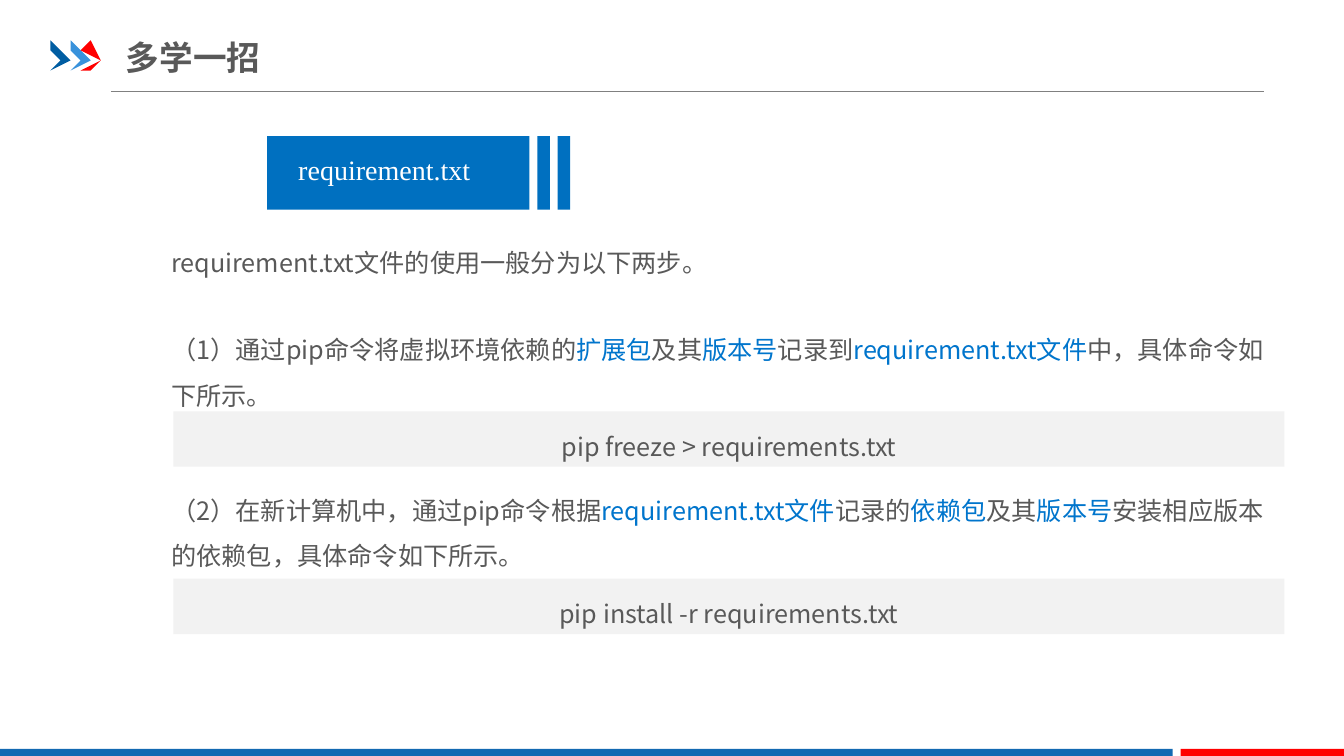
import lxml.etree
import pptx
import pptx.dml.color
import pptx.enum.shapes
import pptx.enum.text
import pptx.oxml.ns
import pptx.util

RGBColor = pptx.dml.color.RGBColor
PP_ALIGN = pptx.enum.text.PP_ALIGN
MSO_ANCHOR = pptx.enum.text.MSO_ANCHOR
MSO_AUTO_SIZE = pptx.enum.text.MSO_AUTO_SIZE
qn = pptx.oxml.ns.qn

NAVY = RGBColor(0x00, 0x5D, 0xA2)
SKY = RGBColor(0x39, 0x92, 0xDB)
RED = RGBColor(0xFF, 0x00, 0x00)
FOOTER_BLUE = RGBColor(0x13, 0x69, 0xB2)
TAG_BLUE = RGBColor(0x00, 0x70, 0xC0)
KEY_BLUE = RGBColor(0x00, 0x75, 0xCC)
INK = RGBColor(0x59, 0x59, 0x59)
RULE_GREY = RGBColor(0x80, 0x80, 0x80)
CODE_GREY = RGBColor(0xF2, 0xF2, 0xF2)
WHITE = RGBColor(0xFF, 0xFF, 0xFF)

SANS = "Noto Sans CJK SC"
SERIF = "Times New Roman"
COLS, ROWS = 133.3, 75
TEXT_LEFT, TEXT_WIDTH = 16, 111.4
CODE_LEFT, CODE_WIDTH, CODE_HEIGHT = 17.2, 110.2, 5.5
TAG_TOP, TAG_HEIGHT = 13.5, 7.3
CHEVRON = [(0, 0.4), (0.5, 0), (2, 1.5), (0.5, 3), (0, 2.5), (1.1, 1.5)]


def cells(*counts):
    """Turn counts of grid cells into lengths."""
    return [pptx.util.Inches(count / 10) for count in counts]


def write(tf, *parts, size=18, font=SANS, color=INK, bold=None, align=None, spacing=None):
    """Write one paragraph whose every second part is a key term."""
    p = tf.paragraphs[0]
    p.alignment = align
    p.line_spacing = spacing
    for i, part in enumerate(parts):
        r = p.add_run()
        r.text = part
        r.font.size = pptx.util.Pt(size)
        r.font.name = font
        r.font.bold = bold
        r.font.color.rgb = KEY_BLUE if i % 2 else color
        ea = lxml.etree.SubElement(r._r.get_or_add_rPr(), qn("a:ea"))
        ea.set("typeface", font)


def paint(sp, color):
    """Give a shape a plain fill without line or shadow."""
    sp.shadow.inherit = False
    sp.fill.solid()
    sp.fill.fore_color.rgb = color
    sp.line.fill.background()


def add_bar(s, color, *place):
    """Add a plain rectangle."""
    sp = s.shapes.add_shape(pptx.enum.shapes.MSO_SHAPE.RECTANGLE, *cells(*place))
    paint(sp, color)
    return sp


def add_text(s, place, *parts, **fmt):
    """Add a wrapping text box that grows with its text."""
    tf = s.shapes.add_textbox(*cells(*place)).text_frame
    tf.word_wrap = True
    tf.auto_size = MSO_AUTO_SIZE.SHAPE_TO_FIT_TEXT
    write(tf, *parts, **fmt)
    return tf


def add_command(s, top, command):
    """Add a grey band with a centred command."""
    tf = add_bar(s, CODE_GREY, CODE_LEFT, top, CODE_WIDTH, CODE_HEIGHT).text_frame
    tf.vertical_anchor = MSO_ANCHOR.MIDDLE
    write(tf, command, align=PP_ALIGN.CENTER, spacing=1.5)


def add_chevrons(s):
    """Add the three chevrons beside the title."""
    group = s.shapes.add_group_shape()
    for i, color in enumerate((NAVY, SKY, RED)):
        points = [(4.7 + 1.87 * i + x, 4.3 + y) for x, y in CHEVRON]
        outline = group.shapes.build_freeform(*points[0], scale=cells(1)[0])
        outline.add_line_segments(points[1:], close=True)
        paint(outline.convert_to_shape(), color)


def add_header(s, title):
    """Add the rule, the chevrons and the title."""
    rule = s.shapes.add_connector(
        pptx.enum.shapes.MSO_CONNECTOR.STRAIGHT, *cells(11, 9.1, 125.4, 9.1))
    rule.line.color.rgb = RULE_GREY
    rule.line.width = pptx.util.Pt(0.75)
    lxml.etree.SubElement(rule._element.spPr, qn("a:effectLst"))
    add_chevrons(s)
    tf = add_text(s, (12.5, 2.9, 92.7, 5.5), title, size=24, bold=True)
    tf.auto_size = MSO_AUTO_SIZE.NONE
    tf.vertical_anchor = MSO_ANCHOR.MIDDLE
    tf.margin_left = tf.margin_right = 0
    tf.margin_top = tf.margin_bottom = cells(0.7)[0]


def add_tag(s, label):
    """Add the blue label with its two stripes."""
    for left, width in ((26.5, 26), (53.3, 1.25), (55.3, 1.25)):
        add_bar(s, TAG_BLUE, left, TAG_TOP, width, TAG_HEIGHT)
    add_text(s, (28.6, 14.6, 20.7, 4.4), label, size=20, font=SERIF,
             color=WHITE, align=PP_ALIGN.JUSTIFY)


def main():
    """Build the slide and save it."""
    prs = pptx.Presentation()
    prs.slide_width, prs.slide_height = cells(COLS, ROWS)
    s = prs.slides.add_slide(prs.slide_layouts[6])
    add_header(s, "多学一招")
    add_bar(s, FOOTER_BLUE, 0, 74.3, 116.3, 0.7)
    add_bar(s, RED, 117.1, 74.3, 16.2, 0.7)
    add_tag(s, "requirement.txt")
    paragraphs = (
        (22.5, 5, ["requirement.txt文件的使用一般分为以下两步。"]),
        (31.2, 10.1, ["（1）通过pip命令将虚拟环境依赖的", "扩展包", "及其", "版本号", "记录到",
                      "requirement.txt文件", "中，具体命令如下所示。"]),
        (47.1, 10.1, ["（2）在新计算机中，通过pip命令根据", "requirement.txt文件", "记录的",
                      "依赖包", "及其", "版本号", "安装相应版本的依赖包，具体命令如下所示。"]),
    )
    for top, height, parts in paragraphs:
        add_text(s, (TEXT_LEFT, top, TEXT_WIDTH, height), *parts, spacing=1.5)
    add_command(s, 40.8, "pip freeze > requirements.txt")
    add_command(s, 57.4, "pip install -r requirements.txt")
    prs.save("out.pptx")


if __name__ == "__main__":
    main()
